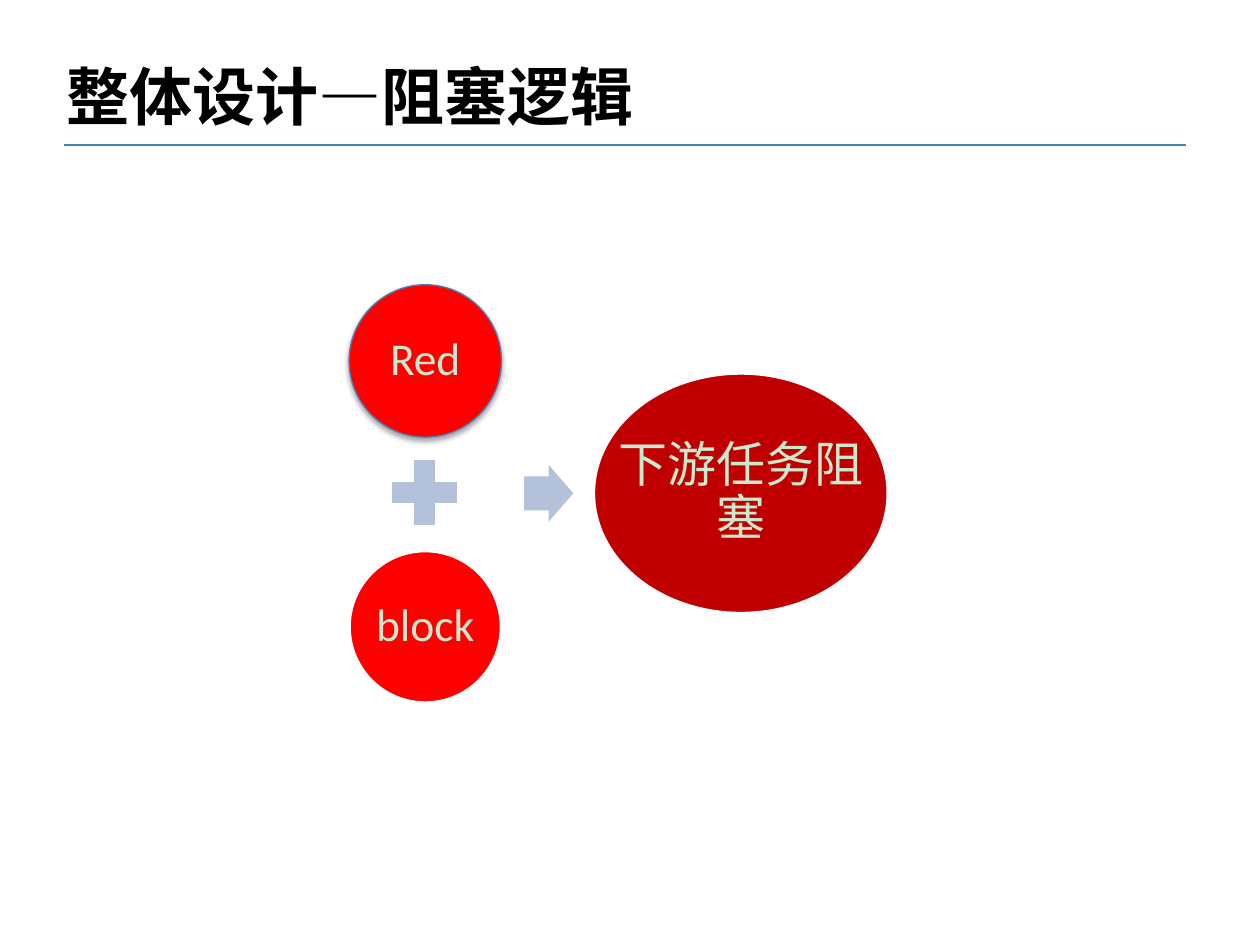
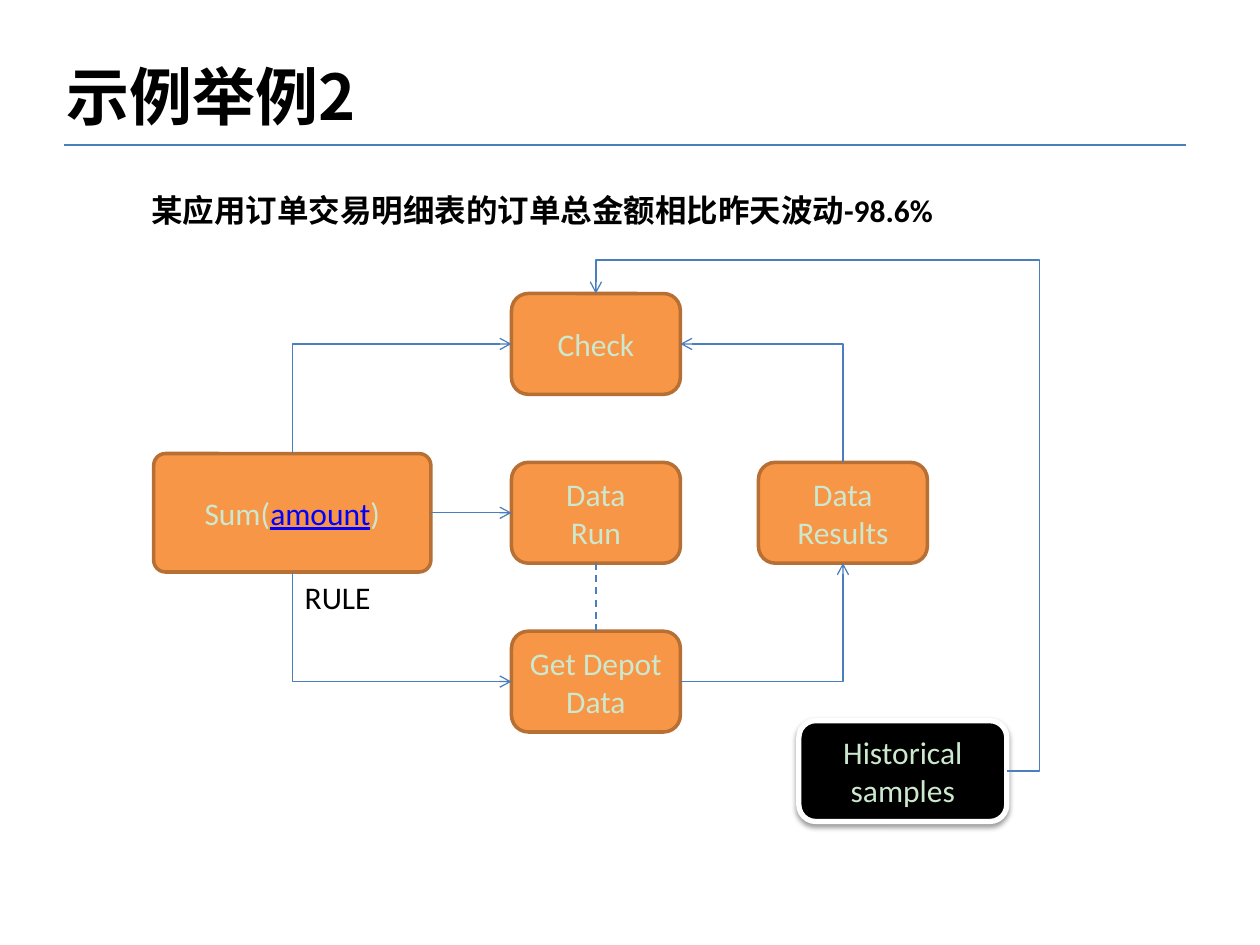
from lxml.etree import SubElement
from pptx import Presentation
from pptx.dml.color import RGBColor
from pptx.enum.dml import MSO_LINE
from pptx.enum.shapes import MSO_CONNECTOR, MSO_SHAPE
from pptx.enum.text import MSO_ANCHOR, PP_ALIGN
from pptx.oxml.ns import qn
from pptx.util import Pt

EMU_PER_PX = 9144
COLORS = {
    "rule": "4B7EBC", "ink": "000000", "pale": "CCE8CF", "paper": "FFFFFF",
    "red": "FF0000", "dark_red": "C00000", "operator": "B3C1DB",
    "orange": "F79646", "brown": "B76F34", "link": "0000FF",
}
LATIN, HAN = "Calibri", "Noto Sans CJK SC"
TOP, LEFT, BOTTOM, RIGHT = range(4)


def px(length):
    """Turn px into EMU."""
    return round(length * EMU_PER_PX)


def rgb(name):
    """Look up a named colour."""
    return RGBColor.from_string(COLORS[name])


def write(frame, text, size=18, color="pale", font=LATIN, bold=False,
          align=PP_ALIGN.CENTER, anchor=MSO_ANCHOR.MIDDLE, inset=None,
          spacing=None, wrap=True, linked=None):
    """Write lines of text into a frame, underlining the linked word."""
    frame.word_wrap = wrap
    frame.vertical_anchor = anchor
    if inset is not None:
        frame.margin_left = frame.margin_right = px(inset)
        frame.margin_top = frame.margin_bottom = px(inset)
    for index, sentence in enumerate(text.split("\n")):
        paragraph = frame.add_paragraph() if index else frame.paragraphs[0]
        paragraph.alignment = align
        if spacing:
            paragraph.line_spacing = spacing
        before, word, after = sentence.partition(linked) if linked else (sentence, "", "")
        for part in filter(None, (before, word, after)):
            run = paragraph.add_run()
            run.text = part
            run.font.size, run.font.bold, run.font.name = Pt(size), bold, font
            is_link = part == linked
            run.font.color.rgb = rgb("link" if is_link else color)
            if is_link:
                run.font.underline = True
            SubElement(run.font._element, qn("a:ea"), typeface=HAN)


class Deck:
    """Hold the shared style and the current slide."""

    def __init__(self):
        """Start an empty 4:3 deck."""
        self.deck = Presentation()
        self.deck.slide_width, self.deck.slide_height = px(1000), px(750)

    def page(self, title):
        """Add a slide with its title and rule."""
        self.shapes = self.deck.slides.add_slide(self.deck.slide_layouts[6]).shapes
        self.line((51, 115), (941, 115), width=1.5)
        self.label(title, 43, 41, 567, 71, size=36, font=HAN, bold=True)

    def label(self, text, left, top, width, height, **style):
        """Add a text box, by default black and at the top left."""
        style = {"color": "ink", "align": PP_ALIGN.LEFT, "anchor": MSO_ANCHOR.TOP} | style
        box = self.shapes.add_textbox(px(left), px(top), px(width), px(height))
        write(box.text_frame, text, **style)

    def shape(self, kind, left, top, width, height, fill, line=None, weight=2,
              adjust=(), shadow=None):
        """Add a filled shape; shadow gives opacity, blur and distance."""
        shape = self.shapes.add_shape(kind, px(left), px(top), px(width), px(height))
        for index, value in enumerate(adjust):
            shape.adjustments[index] = value
        shape.fill.solid()
        shape.fill.fore_color.rgb = rgb(fill)
        if line:
            shape.line.color.rgb = rgb(line)
            shape.line.width = Pt(weight)
        else:
            shape.line.fill.background()
        shape.shadow.inherit = False
        if shadow:
            opacity, blur, distance = shadow
            effects = shape._element.spPr.find(qn("a:effectLst"))
            outer = SubElement(effects, qn("a:outerShdw"), blurRad=str(Pt(blur)),
                               dist=str(Pt(distance)), dir="5400000", rotWithShape="0")
            tint = SubElement(outer, qn("a:srgbClr"), val=COLORS["ink"])
            SubElement(tint, qn("a:alpha"), val=str(opacity * 1000))
        return shape

    def circle(self, text, left, top, width, height, fill, size=26, **style):
        """Add an ellipse whose text spans its full width."""
        place = left, top, width, height
        self.shape(MSO_SHAPE.OVAL, *place, fill, **style)
        self.label(text, *place, size=size, color="pale", align=PP_ALIGN.CENTER,
                   anchor=MSO_ANCHOR.MIDDLE, inset=4, spacing=0.9)

    def step(self, text, left, top, width=134, height=80, fill="orange",
             line="brown", linked=None, **style):
        """Add a rounded box of the flow."""
        box = self.shape(MSO_SHAPE.ROUNDED_RECTANGLE, left, top, width, height,
                         fill, line, **style)
        write(box.text_frame, text, linked=linked)
        return box

    def line(self, start, end, width=0.75, arrow=None, dash=None, bend=None, adjust=()):
        """Join two points or (box, side) pairs, straight or with a bend preset."""
        kind = MSO_CONNECTOR.ELBOW if bend else MSO_CONNECTOR.STRAIGHT
        glued = not isinstance(start[0], int)
        ends = (0, 0, 0, 0) if glued else map(px, start + end)
        link = self.shapes.add_connector(kind, *ends)
        if glued:
            link.begin_connect(*start)
            link.end_connect(*end)
        link.line.color.rgb = rgb("rule")
        link.line.width = Pt(width)
        if dash:
            link.line.dash_style = dash
        properties = link._element.spPr
        if arrow:
            SubElement(properties.find(qn("a:ln")), qn(f"a:{arrow}End"), type="arrow")
        SubElement(properties, qn("a:effectLst"))
        if bend:
            geometry = properties.find(qn("a:prstGeom"))
            geometry.set("prst", bend)
            guides = geometry.find(qn("a:avLst"))
            for index, value in enumerate(adjust, 1):
                SubElement(guides, qn("a:gd"), name=f"adj{index}",
                           fmla=f"val {round(value * 100000)}")


def blocking_logic(deck):
    """Show how two conditions block the downstream task."""
    deck.page("整体设计—阻塞逻辑")
    deck.circle("Red", 277, 226, 121, 121, "red", line="rule", weight=0.75,
                shadow=(35, 3.1, 1.8))
    deck.shape(MSO_SHAPE.MATH_PLUS, 302, 356, 70, 70, "operator")
    deck.circle("block", 277, 437, 121, 121, "red", line="paper")
    deck.shape(MSO_SHAPE.RIGHT_ARROW, 416, 369, 39, 45, "operator", adjust=(0.6, 0.5))
    deck.circle("下游任务阻塞", 471, 296, 234, 191, "dark_red", size=28, line="paper")


def order_example(deck):
    """Show the check of the order amount."""
    deck.page("示例举例2")
    deck.label("某应用订单交易明细表的订单总金额相比昨天波动-98.6%", 110, 147, 752, 40, bold=True)
    check, run, fetch = (
        deck.step(text, 406, 233 + 134 * row)
        for row, text in enumerate(("Check", "Data\nRun", "Get Depot\nData")))
    total = deck.step("Sum(amount)", 122, 360, 220, 94, linked="amount", adjust=(0.1,))
    results = deck.step("Data Results", 602, 367)
    history = deck.step("Historical samples", 634, 572, 165, fill="ink", line="paper",
                        weight=3, shadow=(38, 3.1, 1.6))
    deck.label("RULE", 232, 454, 86, 40, wrap=False)

    deck.line((total, RIGHT), (run, LEFT), arrow="tail")
    deck.line((run, BOTTOM), (fetch, TOP), width=1, dash=MSO_LINE.DASH)
    for start, end, arrow in (
        ((fetch, LEFT), (total, BOTTOM), "head"),
        ((fetch, RIGHT), (results, BOTTOM), "tail"),
        ((check, RIGHT), (results, TOP), "head"),
        ((check, LEFT), (total, TOP), "head"),
    ):
        deck.line(start, end, arrow=arrow, bend="bentConnector2")
    deck.line((history, RIGHT), (check, TOP), arrow="tail", bend="bentConnector4",
              adjust=(-0.08, 1.07))


def main():
    """Build both slides and save them."""
    deck = Deck()
    blocking_logic(deck)
    order_example(deck)
    deck.deck.save("out.pptx")


if __name__ == "__main__":
    main()
